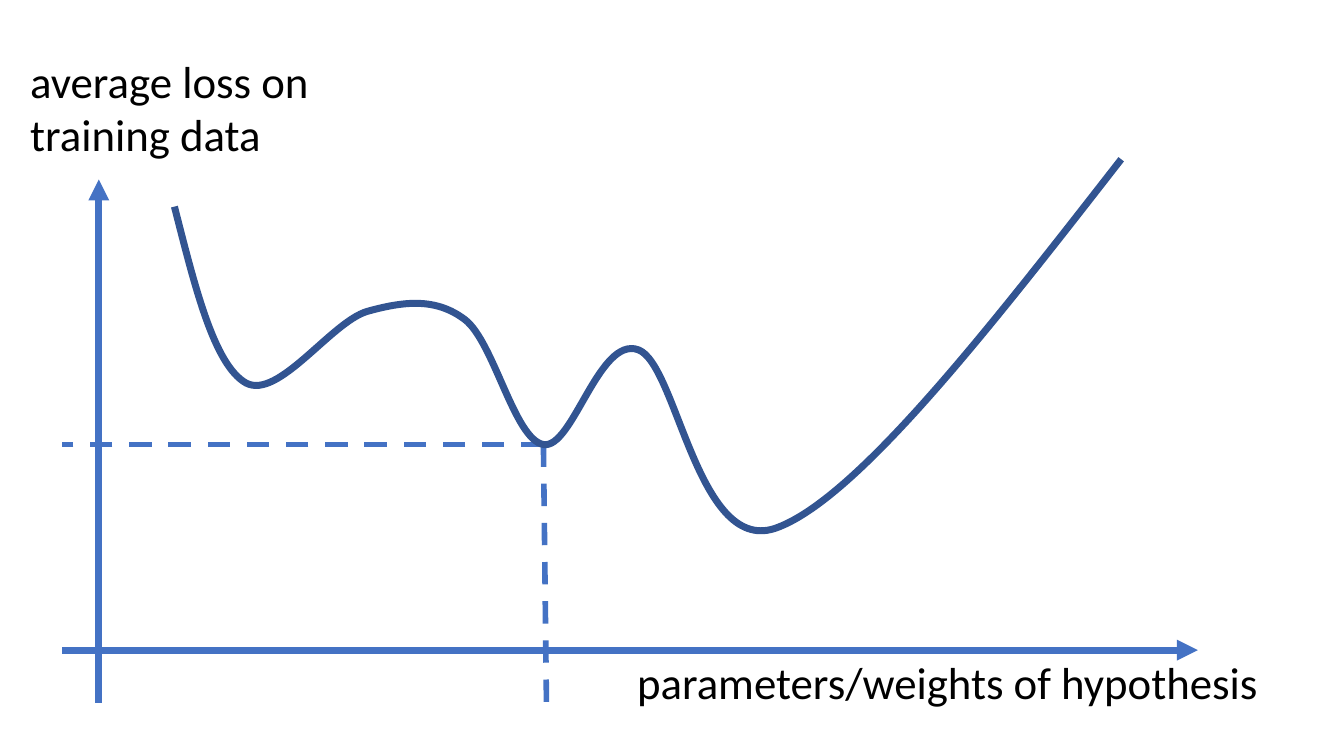
from lxml import etree
from pptx import Presentation
from pptx import util as u
from pptx.dml.color import RGBColor
from pptx.enum import dml, shapes, text
from pptx.oxml import ns

BLUE = RGBColor(0x44, 0x72, 0xC4)
NAVY = RGBColor(0x32, 0x54, 0x91)
BLACK = RGBColor(0, 0, 0)
FONT = "Calibri"

TAIL = 0.36
BELOW = 0.52
LOSS_START = (0.75, 4.4)
LOSS_CURVES = [
    [(0.95, 3.62), (1.14, 2.83), (1.46, 2.65)],
    [(1.78, 2.48), (2.3, 3.25), (2.66, 3.36)],
    [(3.02, 3.46), (3.34, 3.5), (3.63, 3.28)],
    [(3.92, 3.06), (4.12, 2.09), (4.41, 2.04)],
    [(4.7, 1.99), (4.96, 3.12), (5.35, 2.98)],
    [(5.74, 2.84), (5.94, 0.9), (6.74, 1.22)],
    [(7.54, 1.53), (8.84, 3.2), (10.14, 4.87)],
]
LOCAL_MINIMUM = LOSS_CURVES[3][-1]


def add_text(s, content, left, top, width, height, size=32, color=BLACK, font=FONT):
    """Add a wrapped text box in one format."""
    sp = s.shapes.add_textbox(*map(u.Inches, (left, top, width, height)))
    tf = sp.text_frame
    tf.word_wrap = True
    tf.auto_size = text.MSO_AUTO_SIZE.SHAPE_TO_FIT_TEXT
    r = tf.paragraphs[0].add_run()
    r.text = content
    r.font.size = u.Pt(size)
    r.font.name = font
    r.font.color.rgb = color
    return sp


def add_line(s, start, end, width, arrow=False, dashed=False):
    """Add a straight blue line between two slide points in EMU."""
    c = s.shapes.add_connector(shapes.MSO_CONNECTOR.STRAIGHT, *start, *end)
    c.line.color.rgb = BLUE
    c.line.width = u.Pt(width)
    if dashed:
        c.line.dash_style = dml.MSO_LINE.DASH
    if arrow:
        etree.SubElement(c.line._get_or_add_ln(), ns.qn("a:tailEnd"), type="triangle")
    etree.SubElement(c._element.spPr, ns.qn("a:effectLst"))
    return c


def add_curve(s, start, curves, color, width):
    """Add an open outline of cubic curves through slide points in EMU."""
    fb = s.shapes.build_freeform(*start)
    fb.add_line_segments([curve[-1] for curve in curves], close=False)
    sp = fb.convert_to_shape()
    for segment, curve in zip(list(sp._element.iter(ns.qn("a:lnTo"))), curves):
        segment.tag = ns.qn("a:cubicBezTo")
        for i, (x, y) in enumerate(curve[:-1]):
            pt = etree.Element(ns.qn("a:pt"), x=str(x - sp.left), y=str(y - sp.top))
            segment.insert(i, pt)
    sp.fill.background()
    sp.line.color.rgb = color
    sp.line.width = u.Pt(width)
    sp.shadow.inherit = False
    return sp


def add_loss_plot(s, left, top, width, height):
    """Draw the axes, the local minimum guides and the loss curve in a box."""
    origin_x, origin_y = left + TAIL, top + height - BELOW

    def at(x, y):
        """Turn plot inches, counted upwards, into a slide point."""
        return u.Inches(origin_x + x), u.Inches(origin_y - y)

    add_line(s, at(0, -BELOW), at(0, height - BELOW - 0.2), 5, arrow=True)
    add_line(s, at(-TAIL, 0), at(width - TAIL, 0), 5, arrow=True)
    x, y = LOCAL_MINIMUM
    for foot in ((x + 0.03, -BELOW), (-TAIL, y)):
        add_line(s, at(x, y), at(*foot), 4, dashed=True)
    curves = [[at(*point) for point in curve] for curve in LOSS_CURVES]
    add_curve(s, at(*LOSS_START), curves, NAVY, 5)
    add_text(s, "average loss on training data", left - 0.42, top - 1.1, 3.39, 1.18)
    add_text(s, "parameters/weights of hypothesis", left + 5.6, origin_y, 6.74, 0.64)


def main():
    """Build the slide and save it."""
    prs = Presentation()
    prs.slide_width, prs.slide_height = u.Inches(13.33), u.Inches(7.5)
    s = prs.slides.add_slide(prs.slide_layouts[6])
    add_loss_plot(s, 0.62, 1.58, 11.26, 5.39)
    prs.save("out.pptx")


main()
